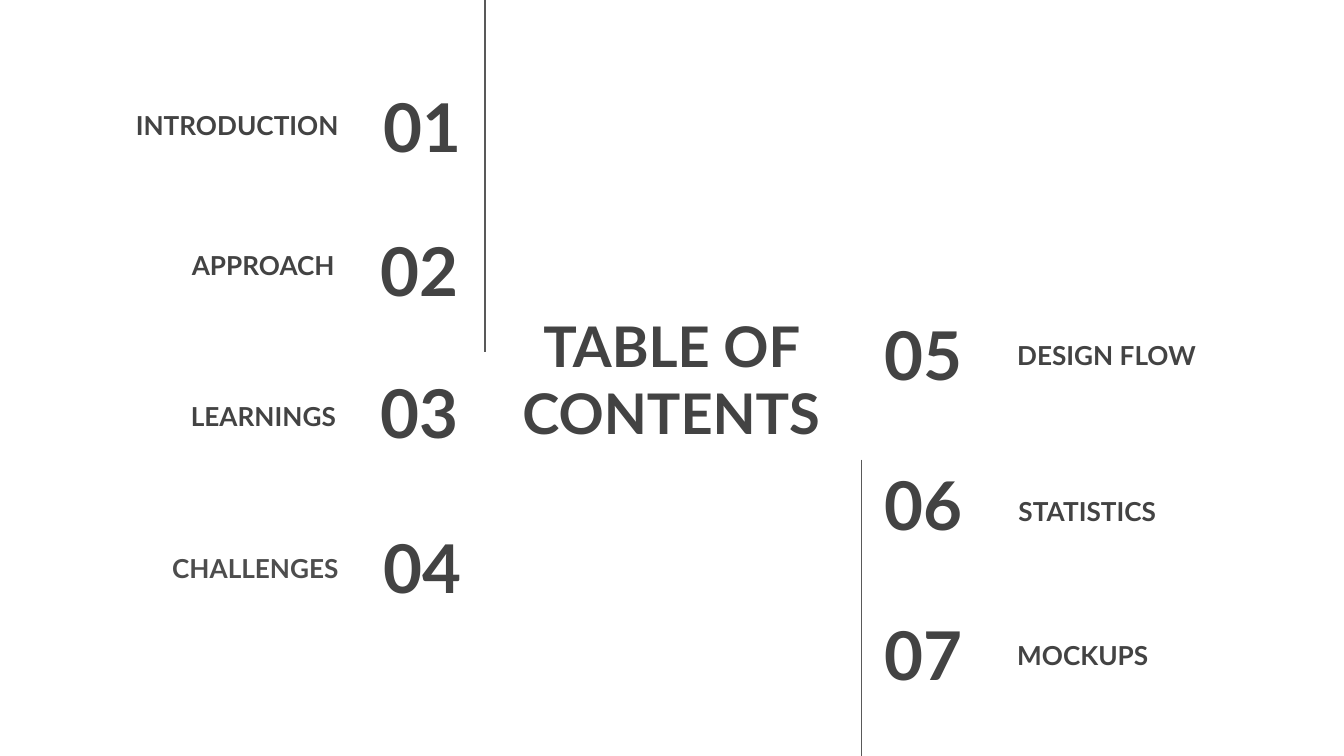
from lxml.etree import SubElement
from pptx import Presentation
from pptx.dml.color import RGBColor
from pptx.enum.shapes import MSO_CONNECTOR as Connector
from pptx.enum.text import MSO_ANCHOR as Anchor, MSO_AUTO_SIZE as AutoSize, PP_ALIGN as Align
from pptx.oxml.ns import qn
from pptx.util import Inches, Pt

COLORS = {"text": "434343", "soft": "4D4D4D", "rule": "595959"}
FONT = "Lato"
HEADING = ("TABLE OF CONTENTS", (3.7, 2.3, 2.59, 1.03))
ROW_HEIGHT = 0.63
LABEL_WIDTH = 2.16

COLUMNS = [
    {"align": Align.RIGHT, "number_width": 1.21, "entries": [
        ("01", 2.32, 0.62, "INTRODUCTION", 0.46, 0.52),
        ("02", 2.3, 1.69, "APPROACH", 0.43, 1.56),
        ("03", 2.3, 2.75, "LEARNINGS", 0.44, 2.68),
    ]},
    {"align": Align.LEFT, "number_width": 1.17, "entries": [
        ("05", 6.48, 2.32, "DESIGN FLOW", 7.47, 2.23),
        ("06", 6.48, 3.43, "STATISTICS", 7.48, 3.39),
        ("07", 6.48, 4.55, "MOCKUPS", 7.47, 4.46),
    ]},
]
CHALLENGES = ("04", (2.32, 3.9, 1.21, ROW_HEIGHT), "CHALLENGES", (1.06, 4.06, 1.56, 0.57))
RULES = [(3.61, 0, 2.62), (6.41, 3.42, 5.64)]


def write(holder, words, size, align, anchor=Anchor.MIDDLE, color="text", inset=0.1):
    frame = holder.text_frame
    frame.text = words
    layout = {"word_wrap": True, "auto_size": AutoSize.NONE, "vertical_anchor": anchor,
              "margin_left": Inches(0.1), "margin_right": Inches(0.1),
              "margin_top": Inches(inset), "margin_bottom": Inches(inset)}
    for key, value in layout.items():
        setattr(frame, key, value)
    paragraph = frame.paragraphs[0]
    paragraph.alignment = align
    font = paragraph.runs[0].font
    for key, value in {"name": FONT, "size": Pt(size), "bold": True}.items():
        setattr(font, key, value)
    font.color.rgb = RGBColor.from_string(COLORS[color])


def add_words(slide, box, *details, **options):
    write(slide.shapes.add_textbox(*map(Inches, box)), *details, **options)


def add_rule(slide, x, top, bottom):
    rule = slide.shapes.add_connector(
        Connector.STRAIGHT, Inches(x), Inches(top), Inches(x), Inches(bottom))
    rule.line.color.rgb = RGBColor.from_string(COLORS["rule"])
    rule.line.width = Pt(0.75)
    SubElement(rule._element.spPr, qn("a:effectLst"))


def main():
    deck = Presentation()
    deck.slide_width = Inches(10)
    deck.slide_height = Inches(10 * 9 / 16)
    slide = deck.slides.add_slide(deck.slide_layouts[5])

    words, box = HEADING
    heading = slide.shapes.title
    for key, value in zip(("left", "top", "width", "height"), box):
        setattr(heading, key, Inches(value))
    write(heading, words, 30, Align.CENTER)

    for column in COLUMNS:
        align = column["align"]
        for number, number_x, number_y, label, label_x, label_y in column["entries"]:
            add_words(slide, (number_x, number_y, column["number_width"], ROW_HEIGHT),
                      number, 36, align)
            add_words(slide, (label_x, label_y, LABEL_WIDTH, ROW_HEIGHT),
                      label, 14, align, anchor=Anchor.BOTTOM)

    for rule in RULES:
        add_rule(slide, *rule)

    number, number_box, label, label_box = CHALLENGES
    add_words(slide, label_box, label, 14, Align.RIGHT,
              anchor=Anchor.TOP, color="soft", inset=0.05)
    add_words(slide, number_box, number, 36, Align.RIGHT)

    deck.save("out.pptx")


if __name__ == "__main__":
    main()
